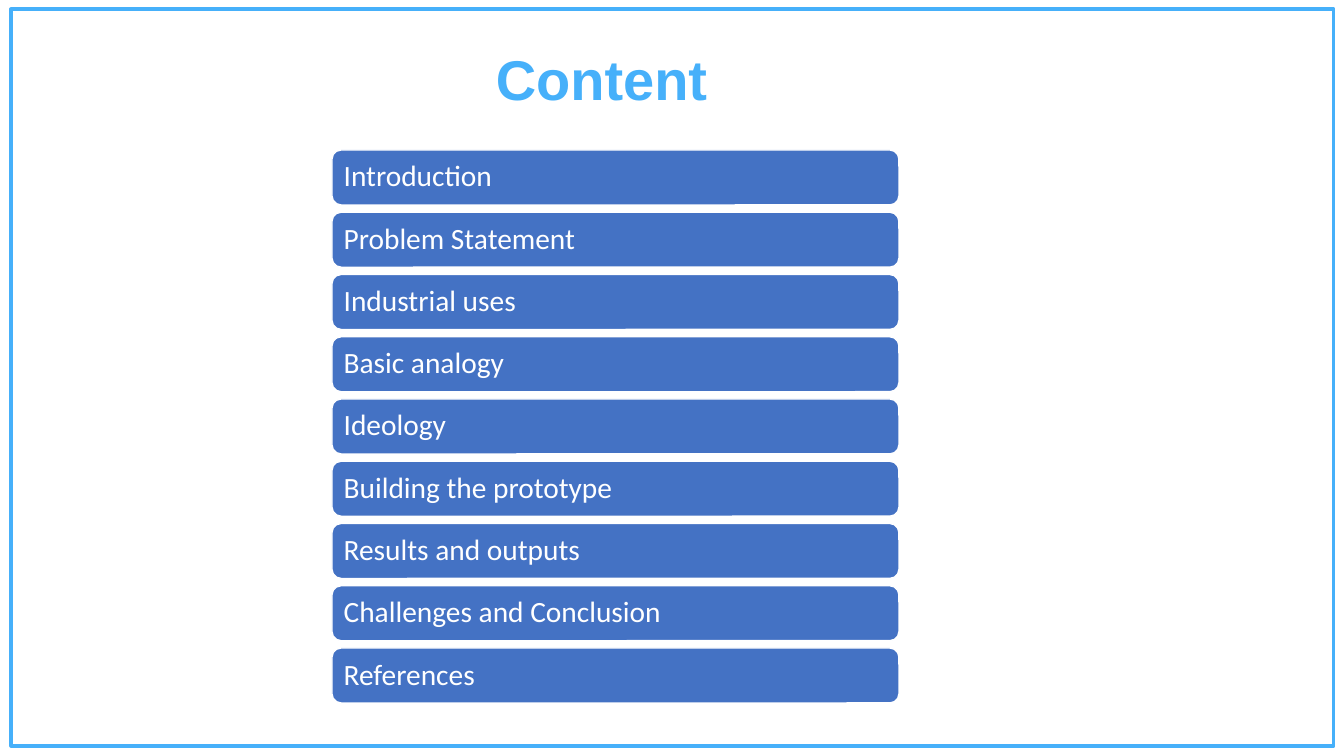
from pptx import Presentation
from pptx.dml.color import RGBColor
from pptx.enum.shapes import MSO_SHAPE
from pptx.enum.text import MSO_ANCHOR, MSO_AUTO_SIZE, PP_ALIGN
from pptx.util import Emu, Pt

SKY = RGBColor(0x46, 0xB0, 0xFA)
BLUE = RGBColor(0x44, 0x72, 0xC4)
WHITE = RGBColor(0xFF, 0xFF, 0xFF)

WIDTH, HEIGHT = 1344, 756
TOPICS = [
    "Introduction",
    "Problem Statement",
    "Industrial uses",
    "Basic analogy",
    "Ideology",
    "Building the prototype",
    "Results and outputs",
    "Challenges and Conclusion",
    "References",
]
FIRST_TOP, LAST_TOP = 150, 648


def px(length):
    return Emu(round(length * 914400 / 100.8))


class SlideBuilder:
    """Draws styled elements on one slide; lengths are in px."""

    heading_font, body_font = "Arial", "Calibri"

    def __init__(self, slide):
        self.slide = slide

    def shape(self, kind, left, top, width, height, line, line_width):
        outline = self.slide.shapes.add_shape(
            kind, px(left), px(top), px(width), px(height))
        outline.shadow.inherit = False
        outline.line.color.rgb = line
        outline.line.width = Pt(line_width)
        return outline

    def frame(self, left, top, width, height):
        border = self.shape(MSO_SHAPE.RECTANGLE, left, top, width, height, SKY, 2.25)
        border.fill.background()

    def title(self, text, left, top, width, height):
        heading = self.slide.shapes.title
        heading.left, heading.top = px(left), px(top)
        heading.width, heading.height = px(width), px(height)
        heading.text_frame.text = text
        heading.text_frame.auto_size = MSO_AUTO_SIZE.NONE
        heading.text_frame.vertical_anchor = MSO_ANCHOR.MIDDLE
        self.style(heading.text_frame, self.heading_font, 40, SKY, PP_ALIGN.CENTER, True)

    def bar(self, text, left, top, width, height):
        topic_bar = self.shape(
            MSO_SHAPE.ROUNDED_RECTANGLE, left, top, width, height, WHITE, 1)
        topic_bar.fill.solid()
        topic_bar.fill.fore_color.rgb = BLUE
        label = topic_bar.text_frame
        label.text = text
        label.word_wrap = True
        label.vertical_anchor = MSO_ANCHOR.MIDDLE
        label.margin_left = label.margin_right = px(9)
        label.margin_top = label.margin_bottom = px(4)
        label.paragraphs[0].line_spacing = 0.9
        self.style(label, self.body_font, 21, WHITE, PP_ALIGN.LEFT)

    def style(self, frame, font_name, size, color, align, bold=False):
        paragraph = frame.paragraphs[0]
        paragraph.alignment = align
        for run in paragraph.runs:
            run.font.name = font_name
            run.font.size = Pt(size)
            run.font.bold = bold
            run.font.color.rgb = color


def main():
    deck = Presentation()
    deck.slide_width, deck.slide_height = px(WIDTH), px(HEIGHT)
    builder = SlideBuilder(deck.slides.add_slide(deck.slide_layouts[5]))

    # Border and heading
    builder.frame(11, 9, 1323, 737)
    builder.title("Content", 332, 39, 539, 78)

    # Evenly spaced topic bars
    pitch = (LAST_TOP - FIRST_TOP) / (len(TOPICS) - 1)
    for index, topic in enumerate(TOPICS):
        builder.bar(topic, 332, FIRST_TOP + index * pitch, 567, 55)

    deck.save("out.pptx")


if __name__ == "__main__":
    main()
